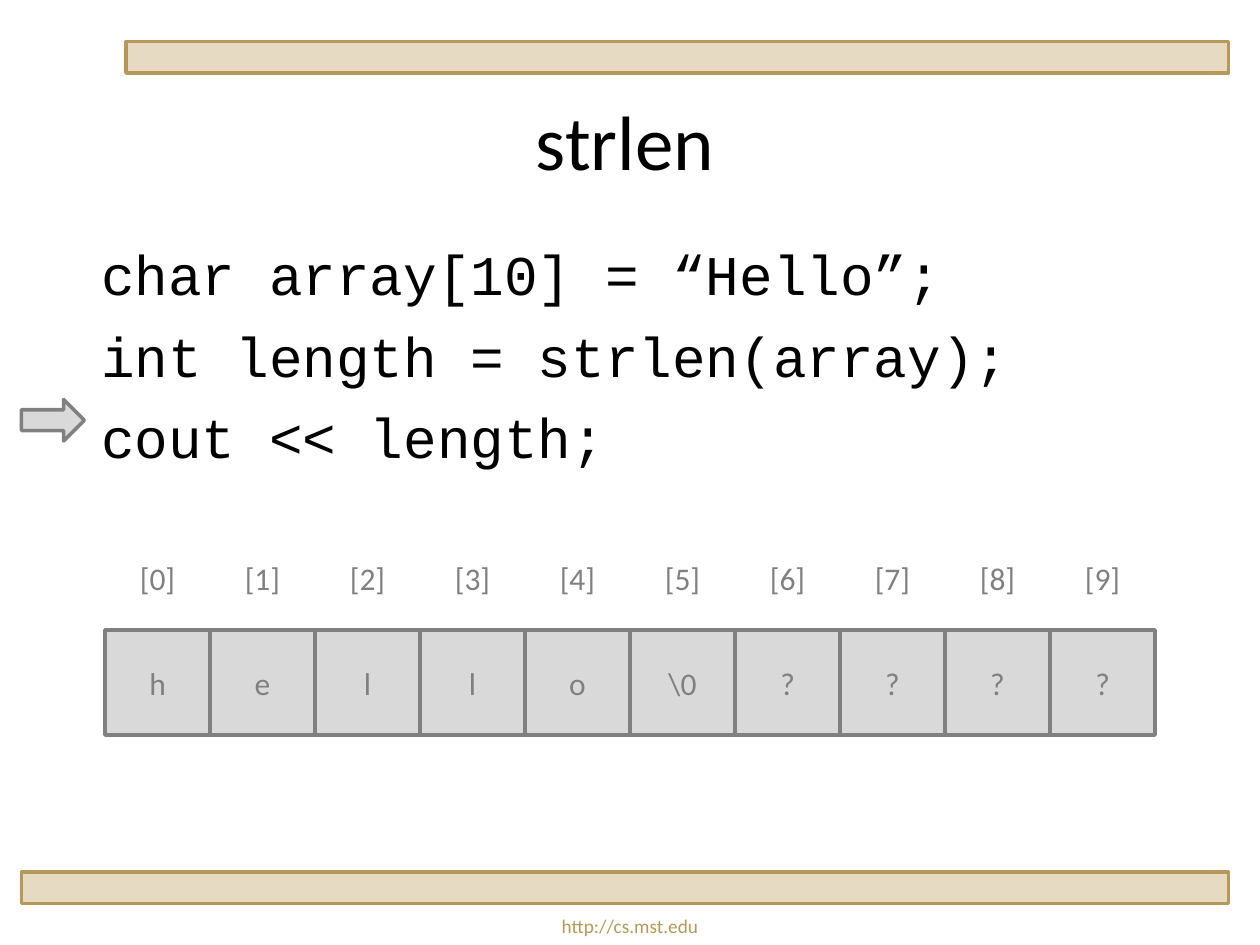
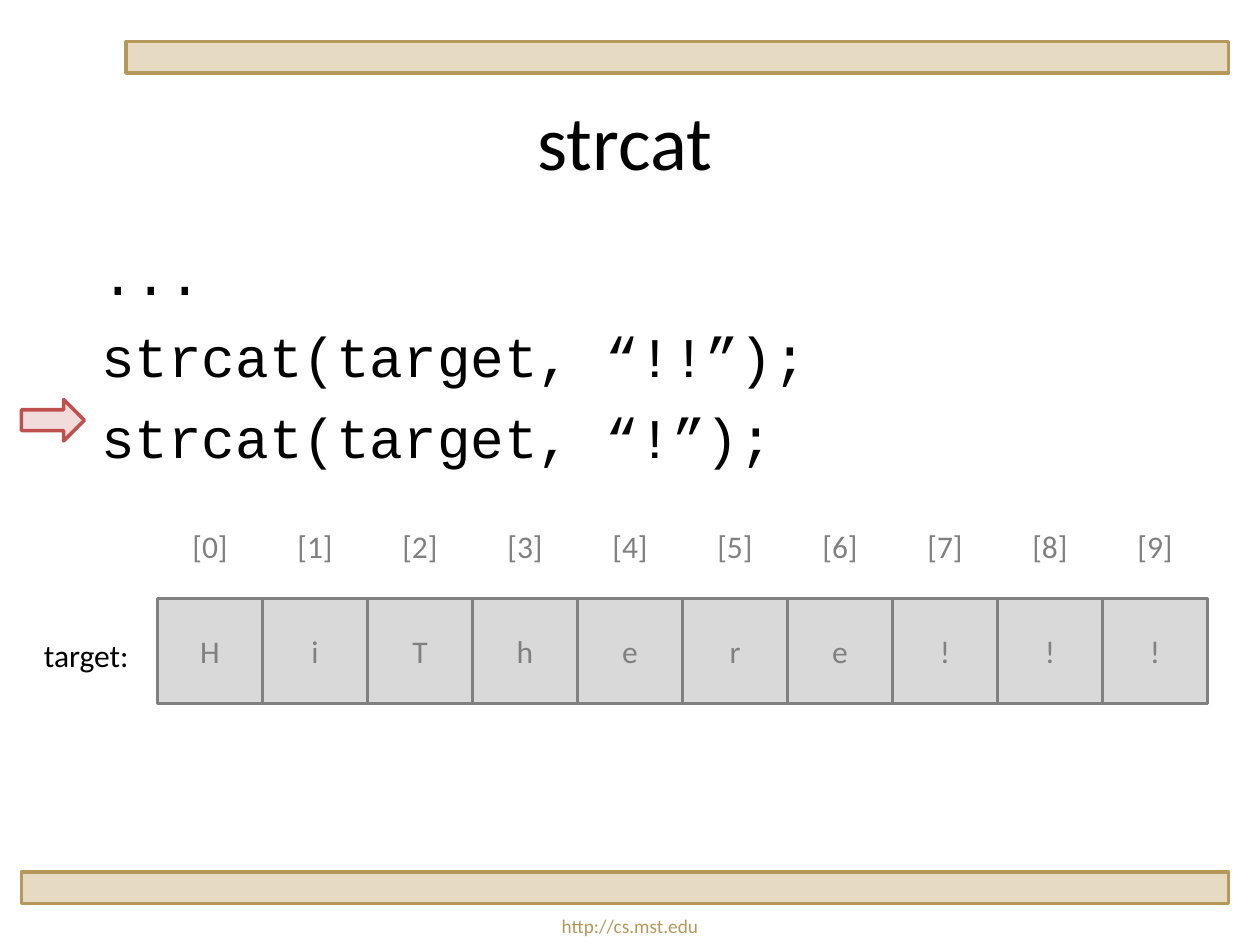
from pptx import Presentation
from pptx.dml.color import RGBColor
from pptx.enum import shapes, text
from pptx.util import Inches, Pt

COLORS = {
    "black": "000000",
    "gold": "B6985A", "pale gold": "E6DAC2",
    "gray": "808080", "pale gray": "D9D9D9",
    "red": "C0504D", "pale red": "F2DCDB",
}
FOOTER = "http://cs.mst.edu"
SLIDES = [
    {
        "title": "strlen",
        "code": ["  char array[10] = “Hello”;",
                 "  int length = strlen(array);",
                 "  cout << length;"],
        "arrow": "gray",
        "cells": ["h", "e", "l", "l", "o", "\\0", "?", "?", "?", "?"],
        "array at": (5 / 6, 5),
        "label": None,
    },
    {
        "title": "strcat",
        "code": ["  ...",
                 "  strcat(target, “!!”);",
                 "  strcat(target, “!”);"],
        "arrow": "red",
        "cells": list("HiThere!!!"),
        "array at": (1.25, 4.75),
        "label": "target:",
    },
]

CELL = 5 / 6
BANDS = [(1, 0.33, 8.75, 0.25), (0.17, 6.92, 9.58, 0.25)]
TITLE_BOX = (0.17, 0.67, 9.58, 0.88)
CODE_BOX = (0.17, 1.85, 9.58, 4.85)
ARROW_BOX = (0.17, 3.17, 0.5, 0.33)
FOOTER_BOX = (0, 7.21, 10, 0.29)

TITLE = {"size": Pt(44), "name": "Calibri", "color": "black"}
CODE = {"size": Pt(32), "name": "Courier New", "color": "black"}
CELL_TEXT = {"size": Pt(18), "name": "Calibri", "color": "gray"}
LABEL = {**CELL_TEXT, "color": "black"}
FOOTER_TEXT = {"size": Pt(11), "name": "Calibri", "color": "gold"}

RECTANGLE = shapes.MSO_SHAPE.RECTANGLE
RIGHT_ARROW = shapes.MSO_SHAPE.RIGHT_ARROW
LEFT, CENTER = text.PP_ALIGN.LEFT, text.PP_ALIGN.CENTER
TOP, MIDDLE = text.MSO_ANCHOR.TOP, text.MSO_ANCHOR.MIDDLE


def rgb(color):
    return RGBColor.from_string(COLORS[color])


def write(shape, lines, style, align=CENTER, anchor=MIDDLE, wrap=True, gap=0):
    """Fill a shape with one paragraph per line, gap points apart."""
    frame = shape.text_frame
    frame.word_wrap = wrap
    frame.vertical_anchor = anchor
    for number, line in enumerate(lines):
        paragraph = frame.add_paragraph() if number else frame.paragraphs[0]
        paragraph.text = line
        paragraph.alignment = align
        paragraph.space_before = Pt(gap if number else 0)
        for name, value in style.items():
            if name == "color":
                paragraph.font.color.rgb = rgb(value)
            else:
                setattr(paragraph.font, name, value)


def add_text(slide, box, lines, style, **layout):
    shape = slide.shapes.add_textbox(*map(Inches, box))
    write(shape, lines, style, **layout)


def add_block(slide, kind, box, color):
    """Add a shape with an outline in color and a pale fill of the same hue."""
    shape = slide.shapes.add_shape(kind, *map(Inches, box))
    shape.shadow.inherit = False
    shape.fill.solid()
    shape.fill.fore_color.rgb = rgb("pale " + color)
    shape.line.color.rgb = rgb(color)
    shape.line.width = Pt(2)
    return shape


def add_frame(slide, title):
    """Add the bands, footer and title that every slide has."""
    for band in BANDS:
        add_block(slide, RECTANGLE, band, "gold")
    add_text(slide, FOOTER_BOX, [FOOTER], FOOTER_TEXT, anchor=TOP)
    add_text(slide, TITLE_BOX, [title], TITLE)


def add_array(slide, cells, left, top):
    for index, value in enumerate(cells):
        x = left + index * CELL
        cell = add_block(slide, RECTANGLE, (x, top, CELL, CELL), "gray")
        write(cell, [value], CELL_TEXT)
        add_text(slide, (x, top - CELL, CELL, CELL), [f"[{index}]"], CELL_TEXT)


def main():
    presentation = Presentation()
    presentation.slide_width, presentation.slide_height = Inches(10), Inches(7.5)
    for content in SLIDES:
        slide = presentation.slides.add_slide(presentation.slide_layouts[6])
        add_frame(slide, content["title"])
        add_text(slide, CODE_BOX, content["code"], CODE,
                 align=LEFT, anchor=TOP, gap=8.3)
        add_block(slide, RIGHT_ARROW, ARROW_BOX, content["arrow"])
        left, top = content["array at"]
        add_array(slide, content["cells"], left, top)
        if content["label"]:
            add_text(slide, (left - 1, top + 0.25, 0.88, 0.4), [content["label"]],
                     LABEL, align=LEFT, anchor=TOP, wrap=False)
    presentation.save("out.pptx")


if __name__ == "__main__":
    main()
